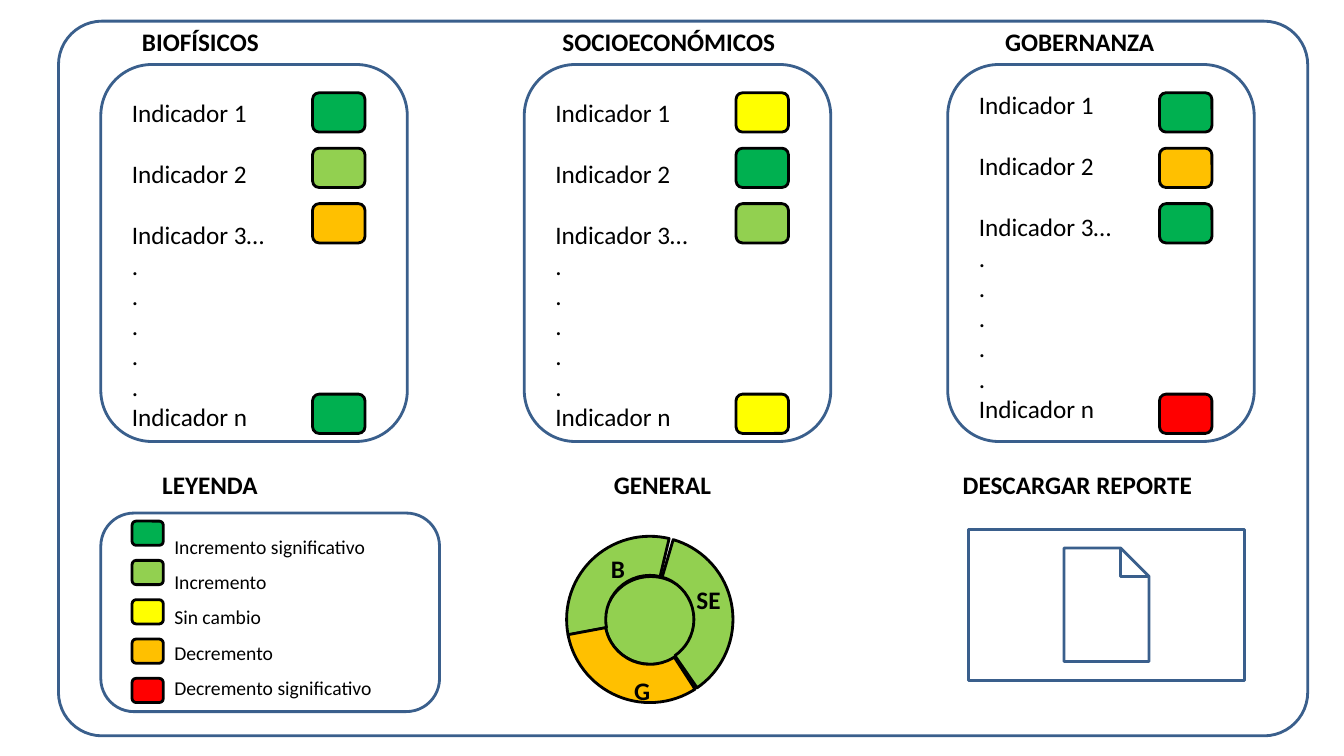
from pptx import Presentation
from pptx.dml.color import RGBColor
from pptx.enum.shapes import MSO_SHAPE as Shape
from pptx.util import Inches, Pt

COLORS = {
    "outline": "3A5F8C",
    "ink": "000000",
    "strong_rise": "00B050",
    "rise": "92D050",
    "steady": "FFFF00",
    "fall": "FFC000",
    "strong_fall": "FF0000",
}


def color(name):
    return RGBColor.from_string(COLORS[name])


class Dashboard:
    """Draws styled elements on the current slide."""

    font = "Calibri"
    line_width = Pt(2)

    def __init__(self, page):
        self.shapes = page.shapes

    def shape(self, kind, left, top, width, height, fill=None, adjust=()):
        box = self.shapes.add_shape(
            kind, Inches(left), Inches(top), Inches(width), Inches(height))
        box.shadow.inherit = False
        for index, value in enumerate(adjust):
            box.adjustments[index] = value
        if fill:
            box.fill.solid()
            box.fill.fore_color.rgb = color(fill)
        else:
            box.fill.background()
        box.line.color.rgb = color("ink" if fill else "outline")
        box.line.width = self.line_width
        return box

    def panel(self, left, top, width, height, adjust=()):
        return self.shape(Shape.ROUNDED_RECTANGLE, left, top, width, height, adjust=adjust)

    def swatch(self, left, top, width, height, fill):
        return self.shape(Shape.ROUNDED_RECTANGLE, left, top, width, height, fill)

    def text(self, lines, left, top, width, height, size=18, bold=False, wrap=True, **spacing):
        box = self.shapes.add_textbox(
            Inches(left), Inches(top), Inches(width), Inches(height))
        frame = box.text_frame
        frame.word_wrap = wrap
        font_format = {"name": self.font, "size": Pt(size), "bold": bold}
        for index, line in enumerate(lines):
            para = frame.paragraphs[0] if index == 0 else frame.add_paragraph()
            for name, value in spacing.items():
                setattr(para, name, value)
            span = para.add_run()
            span.text = line
            for name, value in font_format.items():
                setattr(span.font, name, value)
            span.font.color.rgb = color("ink")
        return frame

    def heading(self, words, left, top, width=3):
        return self.text([words], left, top, width, 0.4, bold=True)

    def indicators(self, left, text_top, levels):
        self.panel(left, 0.64, 3.04, 3.74)
        lines = ["Indicador 1", "Indicador 2", "Indicador 3…", *"." * 5, "Indicador n"]
        frame = self.text(lines, left + 0.21, text_top, 2.62, 3.43)
        for para in frame.paragraphs[1:3]:
            para.space_before = Pt(22)
        for top, level in zip(SWATCH_TOPS, levels):
            self.swatch(left + 2.1, top, 0.52, 0.39, level)


SWATCH_TOPS = [0.92, 1.47, 2.02, 3.91]
COLUMN_LEFT, COLUMN_STEP = 1, 4.2

# Heading, heading left, list top, levels of indicators 1, 2, 3 and n
GROUPS = [
    ("BIOFÍSICOS", 1.31, 0.92, ["strong_rise", "rise", "fall", "strong_rise"]),
    ("SOCIOECONÓMICOS", 5.48, 0.92, ["steady", "strong_rise", "rise", "steady"]),
    ("GOBERNANZA", 9.87, 0.84, ["strong_rise", "fall", "strong_rise", "strong_fall"]),
]
LEGEND = {
    "Incremento significativo": "strong_rise",
    "Incremento": "rise",
    "Sin cambio": "steady",
    "Decremento": "fall",
    "Decremento significativo": "strong_fall",
}
# Fill, start angle, end angle (degrees), ring thickness
RING = [
    ("rise", 169.26, 283.45, 0.235),
    ("rise", 286.33, 55.33, 0.235),
    ("fall", 57.06, 169.43, 0.23),
]
RING_LABELS = [("B", 5.96, 5.44), ("SE", 6.81, 5.75), ("G", 6.19, 6.65)]
ANGLE_UNIT = 0.6  # adjustment units per degree


def main():
    deck = Presentation()
    deck.slide_width, deck.slide_height = Inches(13.33), Inches(7.5)
    board = Dashboard(deck.slides.add_slide(deck.slide_layouts[6]))

    # Outer frame and indicator columns
    board.panel(0.58, 0.21, 12.39, 7.09, [0.061])
    for column, (title, title_left, text_top, levels) in enumerate(GROUPS):
        board.heading(title, title_left, 0.21)
        board.indicators(COLUMN_LEFT + column * COLUMN_STEP, text_top, levels)

    # Legend
    board.heading("LEYENDA", 1.51, 4.61)
    board.panel(1, 5.09, 3.36, 1.97)
    for row, level in enumerate(LEGEND.values()):
        board.swatch(1.31, 5.17 + row * 0.39, 0.31, 0.24, level)
    board.text(LEGEND, 1.63, 5.14, 2.18, 1.87, size=14, wrap=False, line_spacing=1.5)

    # Overall ring
    board.heading("GENERAL", 5.99, 4.61)
    board.shape(Shape.OVAL, 6, 5.72, 0.91, 0.87, "rise")
    for fill, start, end, thickness in RING:
        angles = [start * ANGLE_UNIT, end * ANGLE_UNIT]
        board.shape(Shape.BLOCK_ARC, 5.62, 5.32, 1.65, 1.65, fill, [*angles, thickness])
    for label, left, top in RING_LABELS:
        board.heading(label, left, top, 0.5)

    # Report download
    board.heading("DESCARGAR REPORTE", 9.45, 4.61)
    board.shape(Shape.ACTION_BUTTON_DOCUMENT, 9.61, 5.25, 2.73, 1.5)

    deck.save("out.pptx")


if __name__ == "__main__":
    main()
